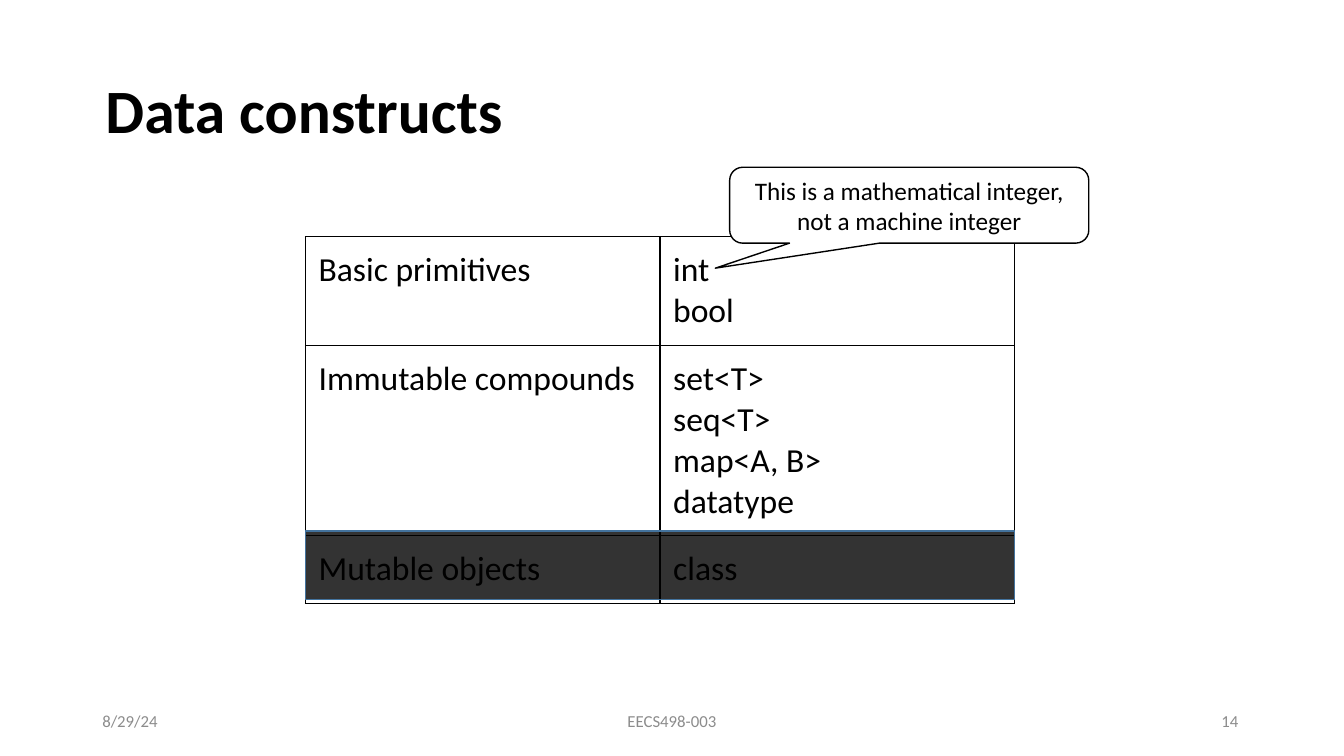
from lxml.etree import SubElement
from pptx import Presentation
from pptx.dml.color import RGBColor
from pptx.enum.shapes import MSO_SHAPE
from pptx.enum.text import MSO_ANCHOR, MSO_AUTO_SIZE, PP_ALIGN
from pptx.oxml import parse_xml
from pptx.oxml.ns import nsdecls, qn
from pptx.util import Pt

COLORS = {"ink": "000000", "paper": "FFFFFF", "footer": "8C8C8C", "cover_edge": "43739E"}
FONT = "Calibri"
INSET = 9.36
ROWS = [
    (77.5, "Basic primitives", ["int", "bool"]),
    (135, "Immutable compounds", ["set<T>", "seq<T>", "map<A, B>", "datatype"]),
    (48.5, "Mutable objects", ["class"]),
]


def color(name):
    """Return the named colour."""
    return RGBColor.from_string(COLORS[name])


def write(frame, lines, size, ink="ink", align=PP_ALIGN.LEFT, bold=False):
    """Write one formatted paragraph per line and return the last one."""
    frame.word_wrap = True
    for index, line in enumerate(lines):
        para = frame.add_paragraph() if index else frame.paragraphs[0]
        para.alignment = align
        span = para.add_run()
        span.text = line
        span.font.name = FONT
        span.font.size = Pt(size)
        span.font.bold = bold
        span.font.color.rgb = color(ink)
    return para


def set_insets(holder, side, top):
    """Set the four text margins of a frame or cell."""
    holder.margin_left = holder.margin_right = Pt(side)
    holder.margin_top = holder.margin_bottom = Pt(top)


def add_title(page, left, top, width, height):
    """Place the slide title."""
    title = page.shapes.title
    title.left, title.top, title.width, title.height = map(Pt, (left, top, width, height))
    frame = title.text_frame
    frame.auto_size = MSO_AUTO_SIZE.NONE
    frame.vertical_anchor = MSO_ANCHOR.MIDDLE
    set_insets(frame, INSET, INSET)
    write(frame, ["Data constructs"], 44, bold=True).line_spacing = 0.9


def add_borders(cell):
    """Draw a thin line on each side of a cell."""
    properties = cell._tc.get_or_add_tcPr()
    for index, side in enumerate(("lnL", "lnR", "lnT", "lnB")):
        border = parse_xml(f'<a:{side} {nsdecls("a")} w="12700"><a:solidFill>'
                           f'<a:srgbClr val="{COLORS["ink"]}"/></a:solidFill></a:{side}>')
        properties.insert(index, border)


def add_constructs_table(page, left, top, width):
    """Place the table of data constructs."""
    height = sum(row[0] for row in ROWS)
    table = page.shapes.add_table(len(ROWS), 2, Pt(left), Pt(top), Pt(width), Pt(height)).table
    table.first_row = table.horz_banding = False
    for column in table.columns:
        column.width = Pt(width / 2)
    for index, (row_height, kind, constructs) in enumerate(ROWS):
        table.rows[index].height = Pt(row_height)
        for cell, lines in zip(table.rows[index].cells, ([kind], constructs)):
            cell.fill.background()
            set_insets(cell, INSET, INSET)
            write(cell.text_frame, lines, 24)
            add_borders(cell)


def add_box(page, preset, box, fill, edge):
    """Place a filled and outlined shape without shadow."""
    shape = page.shapes.add_shape(preset, *map(Pt, box))
    shape.shadow.inherit = False
    shape.fill.solid()
    shape.fill.fore_color.rgb = color(fill)
    shape.line.color.rgb = color(edge)
    shape.line.width = Pt(1)
    return shape


def add_callout(page, *box):
    """Place the remark that points at the int type."""
    callout = add_box(page, MSO_SHAPE.ROUNDED_RECTANGULAR_CALLOUT, box, "paper", "ink")
    for index, value in enumerate((-0.54, 0.83, 0.17)):
        callout.adjustments[index] = value
    callout.text_frame.vertical_anchor = MSO_ANCHOR.MIDDLE
    write(callout.text_frame, ["This is a mathematical integer, not a machine integer"],
          18, align=PP_ALIGN.CENTER)


def add_cover(page, *box):
    """Place the translucent cover over the last table row."""
    cover = add_box(page, MSO_SHAPE.RECTANGLE, box, "ink", "cover_edge")
    tint = cover._element.spPr.find(qn("a:solidFill")).find(qn("a:srgbClr"))
    SubElement(tint, qn("a:alpha")).set("val", "80000")


def add_footer(page, left, top, width, height):
    """Place date, course and page number along the bottom."""
    parts = [
        ("8/29/24", 0, 216, PP_ALIGN.LEFT, 7.2, 3.6),
        ("EECS498-003", (width - 324) / 2, 324, PP_ALIGN.CENTER, 7.2, 3.6),
        ("14", width - 216, 216, PP_ALIGN.RIGHT, INSET, INSET),
    ]
    for text, offset, part_width, align, side, edge in parts:
        box = page.shapes.add_textbox(Pt(left + offset), Pt(top), Pt(part_width), Pt(height))
        box.text_frame.vertical_anchor = MSO_ANCHOR.MIDDLE
        set_insets(box.text_frame, side, edge)
        write(box.text_frame, [text], 12, "footer", align)


def main():
    """Build and save the deck."""
    deck = Presentation()
    deck.slide_width, deck.slide_height = Pt(960), Pt(540)
    page = deck.slides.add_slide(deck.slide_layouts[5])
    add_title(page, 66, 28.75, 828, 104.5)
    add_constructs_table(page, 218.2, 169, 506.6)
    add_footer(page, 66, 500.5, 828, 28.75)
    add_callout(page, 521.2, 119.5, 256.5, 54.2)
    add_cover(page, 218.2, 379.3, 506.6, 49)
    deck.save("out.pptx")


if __name__ == "__main__":
    main()
